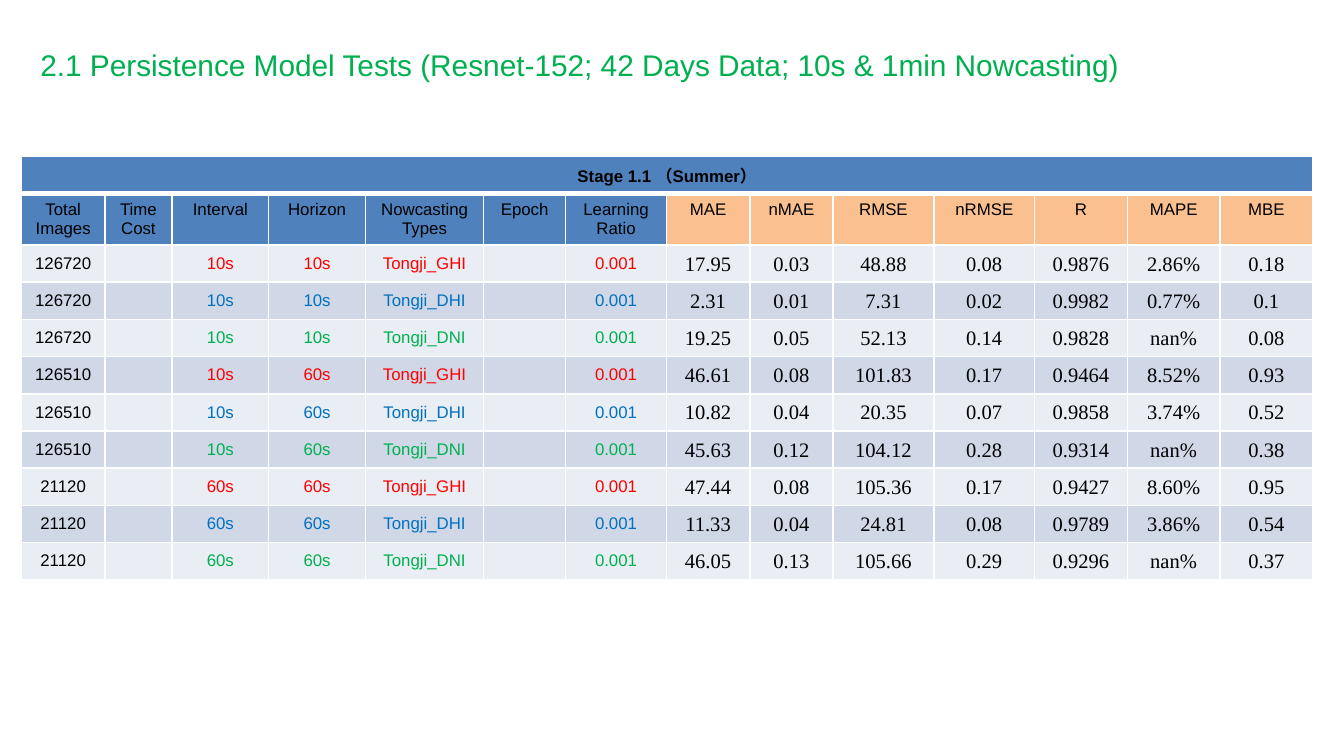
import lxml.etree
import pptx
import pptx.dml.color
import pptx.enum.text
import pptx.oxml.ns
import pptx.util

Inches = pptx.util.Inches
ALIGN = pptx.enum.text.PP_ALIGN
ANCHOR = pptx.enum.text.MSO_ANCHOR

TITLE = "2.1 Persistence Model Tests (Resnet-152; 42 Days Data; 10s & 1min Nowcasting)"
STAGE = "Stage 1.1 （Summer）"
SETTINGS = ["Total\nImages", "Time Cost", "Interval", "Horizon",
            "Nowcasting\nTypes", "Epoch", "Learning Ratio"]
METRICS = ["MAE", "nMAE", "RMSE", "nRMSE", "R", "MAPE", "MBE"]
LEARNING_RATIO = "0.001"
TYPES = ["GHI", "DHI", "DNI"]
# (total images, interval, horizon, one line of metrics per nowcasting type)
TESTS = [
    ("126720", "10s", "10s", [
        "17.95 0.03 48.88 0.08 0.9876 2.86% 0.18",
        "2.31 0.01 7.31 0.02 0.9982 0.77% 0.1",
        "19.25 0.05 52.13 0.14 0.9828 nan% 0.08"]),
    ("126510", "10s", "60s", [
        "46.61 0.08 101.83 0.17 0.9464 8.52% 0.93",
        "10.82 0.04 20.35 0.07 0.9858 3.74% 0.52",
        "45.63 0.12 104.12 0.28 0.9314 nan% 0.38"]),
    ("21120", "60s", "60s", [
        "47.44 0.08 105.36 0.17 0.9427 8.60% 0.95",
        "11.33 0.04 24.81 0.08 0.9789 3.86% 0.54",
        "46.05 0.13 105.66 0.29 0.9296 nan% 0.37"]),
]

THEME = {
    "font": "Arial", "metric_font": "Times New Roman",
    "title_size": 16, "size": 9, "metric_size": 11,
    "title": "00B050", "text": "000000", "border": "FFFFFF",
    "header": "4F81BD", "metric_header": "FAC090",
    "bands": ["E9EDF4", "D0D8E8"],
    "types": {"GHI": "FF0000", "DHI": "0070C0", "DNI": "00B050"},
}
SLIDE_WIDTH = Inches(10)
SLIDE_HEIGHT = SLIDE_WIDTH * 9 // 16
COL_WIDTHS = [0.62, 0.5, 0.72, 0.72, 0.88, 0.61, 0.75,
              0.62, 0.62, 0.75, 0.75, 0.69, 0.69, 0.69]
TABLE_LEFT, TABLE_TOP, TABLE_HEIGHT, HEADER_HEIGHT = 0.16, 1.16, 3.15, 0.38


def rgb(color):
    return pptx.dml.color.RGBColor.from_string(color)


def write(tf, text, size=THEME["size"], font=THEME["font"], color=THEME["text"],
          bold=False, align=ALIGN.CENTER):
    for i, line in enumerate(text.split("\n")):
        p = tf.add_paragraph() if i else tf.paragraphs[0]
        p.alignment = align
        if not line:  # keeps an empty cell from growing its row
            p._p.get_or_add_endParaRPr().set("sz", str(size * 100))
            continue
        r = p.add_run()
        r.text = line
        r.font.size = pptx.util.Pt(size)
        r.font.name = font
        r.font.bold = bold
        r.font.color.rgb = rgb(color)


def set_borders(cell, bottom=1):
    tc_pr = cell._tc.get_or_add_tcPr()
    qn = pptx.oxml.ns.qn
    for i, (side, width) in enumerate([("L", 1), ("R", 1), ("T", 1), ("B", bottom)]):
        ln = lxml.etree.Element(qn("a:ln" + side), w=str(pptx.util.Pt(width)))
        fill = lxml.etree.SubElement(ln, qn("a:solidFill"))
        lxml.etree.SubElement(fill, qn("a:srgbClr"), val=THEME["border"])
        tc_pr.insert(i, ln)


def fill_cell(cell, text, fill, bottom=1, anchor=ANCHOR.TOP, **text_format):
    cell.fill.solid()
    cell.fill.fore_color.rgb = rgb(fill)
    cell.vertical_anchor = anchor
    set_borders(cell, bottom)
    write(cell.text_frame, text, **text_format)


def add_title(s):
    sp = s.shapes.title
    sp.left, sp.top, sp.width, sp.height = map(Inches, (0.2, 0.3, 8.98, 0.46))
    tf = sp.text_frame
    tf.word_wrap = True
    tf.auto_size = pptx.enum.text.MSO_AUTO_SIZE.NONE
    tf.vertical_anchor = ANCHOR.TOP
    write(tf, TITLE, size=THEME["title_size"], color=THEME["title"], align=ALIGN.LEFT)


def add_results(s):
    tests = [(images, interval, horizon, kind, line.split())
             for images, interval, horizon, lines in TESTS
             for kind, line in zip(TYPES, lines)]
    n_rows, n_cols = len(tests) + 2, len(COL_WIDTHS)
    table = s.shapes.add_table(n_rows, n_cols, Inches(TABLE_LEFT), Inches(TABLE_TOP),
                               Inches(sum(COL_WIDTHS)), Inches(TABLE_HEIGHT)).table
    for column, width in zip(table.columns, COL_WIDTHS):
        column.width = Inches(width)
    row_height = (TABLE_HEIGHT - HEADER_HEIGHT) / (n_rows - 1)
    for i, row in enumerate(table.rows):
        row.height = Inches(HEADER_HEIGHT if i == 1 else row_height)

    for col in range(n_cols):
        fill_cell(table.cell(0, col), "" if col else STAGE, THEME["header"],
                  bottom=3, bold=True)
    table.cell(0, 0).merge(table.cell(0, n_cols - 1))

    for col, name in enumerate(SETTINGS + METRICS):
        fill = THEME["header" if col < len(SETTINGS) else "metric_header"]
        fill_cell(table.cell(1, col), name, fill)

    for i, (images, interval, horizon, kind, metrics) in enumerate(tests):
        band = THEME["bands"][i % 2]
        settings = [images, "", interval, horizon, "Tongji_" + kind, "", LEARNING_RATIO]
        for col, text in enumerate(settings):
            color = THEME["types"][kind] if col else THEME["text"]
            fill_cell(table.cell(i + 2, col), text, band, anchor=ANCHOR.MIDDLE, color=color)
        for col, text in enumerate(metrics, len(settings)):
            cell = table.cell(i + 2, col)
            cell.margin_left = cell.margin_right = cell.margin_top = Inches(0.01)
            cell.margin_bottom = 0
            fill_cell(cell, text, band, anchor=ANCHOR.MIDDLE,
                      size=THEME["metric_size"], font=THEME["metric_font"])


def main():
    prs = pptx.Presentation()
    prs.slide_width, prs.slide_height = SLIDE_WIDTH, SLIDE_HEIGHT
    s = prs.slides.add_slide(prs.slide_layouts[5])
    add_title(s)
    add_results(s)
    prs.save("out.pptx")


if __name__ == "__main__":
    main()
